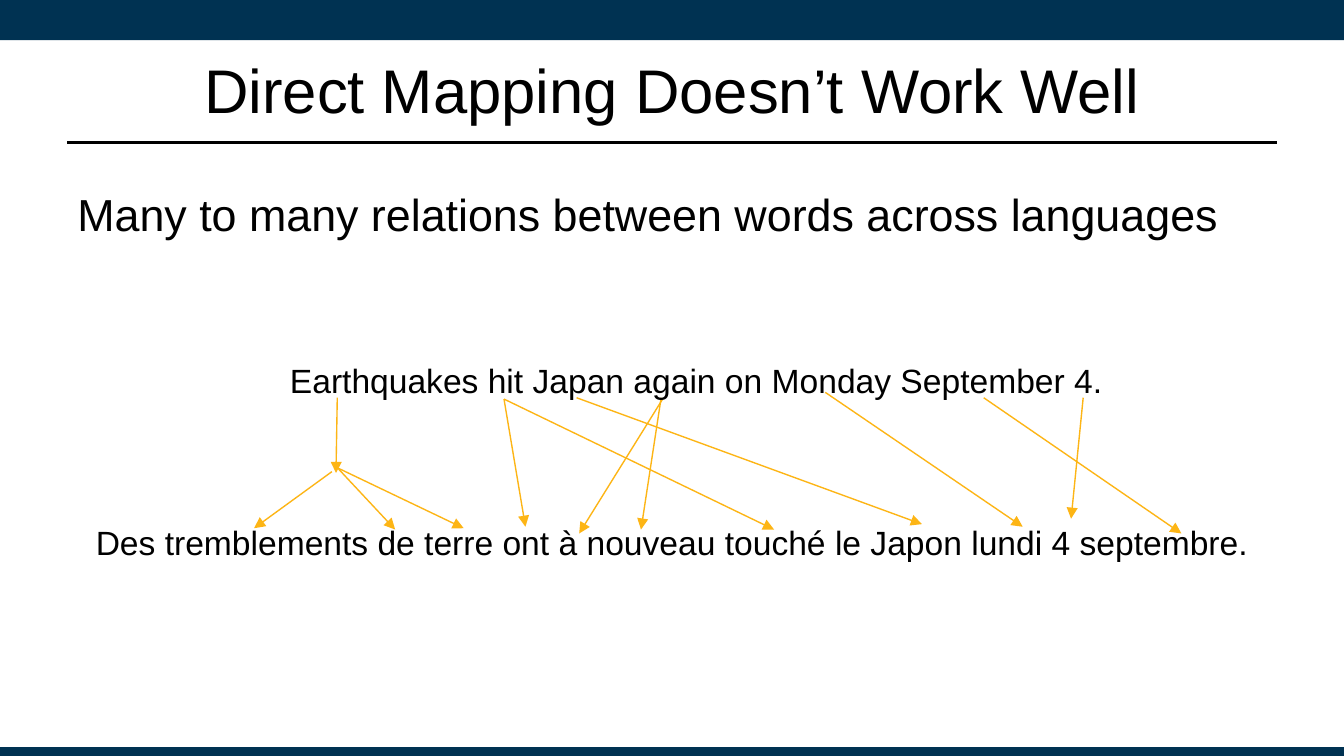
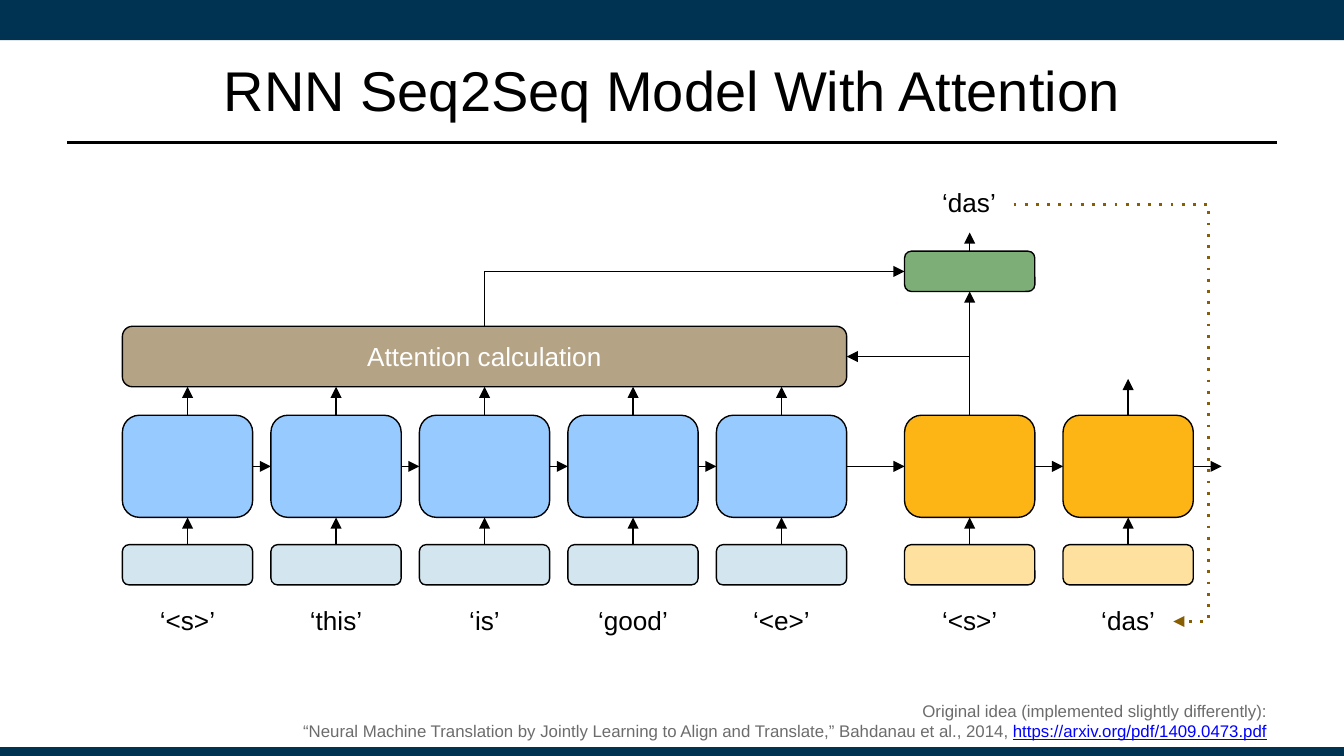
from lxml import etree
from pptx import Presentation
from pptx.dml.color import RGBColor
from pptx.enum.shapes import MSO_CONNECTOR, MSO_SHAPE
from pptx.enum.text import MSO_ANCHOR, MSO_AUTO_SIZE, PP_ALIGN
from pptx.oxml.ns import qn
from pptx.util import Pt

RECT, ROUND = MSO_SHAPE.RECTANGLE, MSO_SHAPE.ROUNDED_RECTANGLE
STRAIGHT, ELBOW = MSO_CONNECTOR.STRAIGHT, MSO_CONNECTOR.ELBOW
LEFT, CENTER, RIGHT = PP_ALIGN.LEFT, PP_ALIGN.CENTER, PP_ALIGN.RIGHT
TOP, MIDDLE, BOTTOM = MSO_ANCHOR.TOP, MSO_ANCHOR.MIDDLE, MSO_ANCHOR.BOTTOM
NO_FIT = MSO_AUTO_SIZE.NONE

FONT = "Arial"
NAVY, BLACK, WHITE, GRAY, LINK = "003252", "000000", "FFFFFF", "6C6C6C", "0000FF"
BLUE, PALE, GOLD, CREAM = "97CBFF", "D3E6EF", "FDB515", "FFE19F"
GREEN, TAN, BROWN = "7EAE78", "B5A385", "875E01"

MARGIN, SPAN = 36, 648
CELL_W, CELL_H, SLIM_H = 69.8, 54.7, 21.6
CELL_Y, SLIM_Y, WORD_Y, WORD_H = 222.5, 291.8, 318.2, 30.2
ENC_X, STEP, DEC_X = 65.6, 79.55, (484.6, 569.5)
ATT_Y, ATT_H, OUT_Y = 174.8, 32.4, 134.6

MAPPING = [
    (527, 213.1, 632.9, 285.8), (180.7, 213.1, 180, 253.4),
    (308.9, 213.1, 493.9, 280.8), (270, 213.8, 414.7, 283.7),
    (442.1, 210.2, 547.9, 282.2), (354.2, 213.1, 343.4, 283.7),
    (580.3, 213.1, 573.8, 277.9), (177.8, 252.7, 136.1, 283),
    (181.4, 251.3, 211.7, 283.7), (180.7, 250.6, 248.4, 283),
    (270, 213.8, 281.5, 282.2), (355, 213.8, 310.3, 285.8),
]


def rgb(code):
    """Turn a hex string into a colour."""
    return RGBColor.from_string(code)


def apply(item, **values):
    """Set each named value on an item."""
    for name, value in values.items():
        setattr(item, name, value)


def place(item, left, top, width, height):
    """Move and size an item in points."""
    apply(item, left=Pt(left), top=Pt(top), width=Pt(width), height=Pt(height))


def tint(run, size, color):
    """Format a run."""
    apply(run.font, name=FONT, size=Pt(size))
    run.font.color.rgb = rgb(color)


def write(item, text, size, color=BLACK, align=CENTER, anchor=TOP, pad=5.4):
    """Fill an item with one formatted paragraph."""
    frame = item.text_frame
    side, end = Pt(5.4), Pt(pad)
    apply(frame, word_wrap=True, auto_size=NO_FIT, vertical_anchor=anchor,
          margin_left=side, margin_right=side, margin_top=end, margin_bottom=end)
    para = frame.paragraphs[0]
    para.text = text
    apply(para, alignment=align, space_before=Pt(0))
    for run in para.runs:
        tint(run, size, color)
    for brk in item.element.iter(qn("a:br")):
        etree.SubElement(brk, qn("a:rPr"), sz=str(size * 100))
    return para


def label(slide, text, box, size=14, **fmt):
    """Add a text box."""
    item = slide.shapes.add_textbox(*map(Pt, box))
    return write(item, text, size, **fmt)


def block(slide, kind, box, fill, edge=None):
    """Add a filled shape with an optional outline."""
    item = slide.shapes.add_shape(kind, *map(Pt, box))
    item.shadow.inherit = False
    item.fill.solid()
    item.fill.fore_color.rgb = rgb(fill)
    if edge:
        item.line.color.rgb = rgb(edge)
        item.line.width = Pt(0.75)
    else:
        item.line.fill.background()
    return item


def link(slide, ends, color=BLACK, width=0.75, kind=STRAIGHT, tip="tailEnd", dash=None):
    """Add a line with an arrowhead at the chosen end."""
    item = slide.shapes.add_connector(kind, *map(Pt, ends))
    item.line.color.rgb = rgb(color)
    item.line.width = Pt(width)
    props = item.element.spPr
    line = props.find(qn("a:ln"))
    if dash:
        etree.SubElement(line, qn("a:prstDash"), val=dash)
    if tip:
        etree.SubElement(line, qn(tip), type="triangle") if ":" in tip else \
            etree.SubElement(line, qn("a:" + tip), type="triangle")
    etree.SubElement(props, qn("a:effectLst"))
    return props.find(qn("a:prstGeom"))


def start(deck, index, title, size):
    """Add a slide with its bands, rule and title."""
    slide = deck.slides.add_slide(deck.slide_layouts[index])
    block(slide, RECT, (0, 0, 720, 21.6), NAVY)
    block(slide, RECT, (0, 400.3, 720, 4.7), NAVY)
    link(slide, (MARGIN, 76.3, MARGIN + SPAN, 76.3), width=1.25, tip=None)
    place(slide.shapes.title, MARGIN, 13.7, SPAN, 67.7)
    write(slide.shapes.title, title, size, anchor=MIDDLE, pad=2.7)
    return slide


def cell(slide, left, word, fill, pale):
    """Add a network cell with its input and word."""
    mid = left + CELL_W / 2
    block(slide, ROUND, (left, CELL_Y, CELL_W, CELL_H), fill, BLACK)
    block(slide, ROUND, (left, SLIM_Y, CELL_W, SLIM_H), pale, BLACK)
    link(slide, (mid, SLIM_Y, mid, CELL_Y + CELL_H))
    label(slide, word, (left, WORD_Y, CELL_W, WORD_H))
    return mid


def direct(deck):
    """Build the word mapping slide."""
    slide = start(deck, 1, "Direct Mapping Doesn’t Work Well", 33)
    body = slide.placeholders[1]
    place(body, MARGIN, 94.3, SPAN, 267.1)
    props = body.text_frame.paragraphs[0]
    para = write(body, "Many to many relations between words across languages",
                 24, align=LEFT, pad=2.7)
    para.line_spacing = 1.1
    props = body.element.find(".//" + qn("a:pPr"))
    apply_flat = {"marL": "0", "indent": "0"}
    for name, value in apply_flat.items():
        props.set(name, value)
    etree.SubElement(props, qn("a:buNone"))
    for ends in MAPPING:
        link(slide, ends, GOLD)
    label(slide, "Earthquakes hit Japan again on Monday September 4.",
          (67, 187.2, 612, 32.4), 18)
    label(slide, "Des tremblements de terre ont à nouveau touché le Japon lundi 4 septembre.",
          (MARGIN, 274.3, SPAN, 32.4), 18)


def model(deck):
    """Build the attention model slide."""
    slide = start(deck, 5, "RNN Seq2Seq Model With Attention", 30)
    axis, base = CELL_Y + CELL_H / 2, ATT_Y + ATT_H
    lefts = [ENC_X + STEP * i for i in range(5)] + list(DEC_X)
    words = ["‘<s>’", "‘this’", "‘is’", "‘good’", "‘<e>’", "‘<s>’", "‘das’"]
    mids = []
    for i, (left, word) in enumerate(zip(lefts, words)):
        mids.append(cell(slide, left, word, *((BLUE, PALE) if i < 5 else (GOLD, CREAM))))
    for left, after in zip(lefts, lefts[1:] + [654.5]):
        link(slide, (left + CELL_W, axis, after, axis))
    for mid in mids[:5]:
        link(slide, (mid, CELL_Y, mid, base))

    width = lefts[4] + CELL_W - ENC_X
    bar = block(slide, ROUND, (ENC_X, ATT_Y, width, ATT_H), TAN, BLACK)
    write(bar, "Attention calculation", 14, WHITE, anchor=MIDDLE)
    first, last = mids[5:]
    block(slide, ROUND, (DEC_X[0], OUT_Y, CELL_W, SLIM_H), GREEN, BLACK)
    link(slide, (first, CELL_Y, first, OUT_Y + SLIM_H))
    link(slide, (first, OUT_Y, first, 124.6))
    link(slide, (last, CELL_Y, last, 203))
    link(slide, (first, ATT_Y + ATT_H / 2, ENC_X + width, ATT_Y + ATT_H / 2))
    label(slide, "‘das’", (495.4, 94.3, 47.5, WORD_H))

    bend = link(slide, (DEC_X[0], OUT_Y + SLIM_H / 2, ENC_X + width / 2, ATT_Y),
                kind=ELBOW, tip="headEnd")
    bend.set("prst", "bentConnector2")
    loop = link(slide, (543, 109.4, 628.6, 333), BROWN, 1.5, ELBOW, dash="dot")
    guides = loop.find(qn("a:avLst"))
    etree.SubElement(guides, qn("a:gd"), name="adj1", fmla="val 121800")

    note = label(slide, "Original idea (implemented slightly differently):\v"
                 "“Neural Machine Translation by Jointly Learning to Align and "
                 "Translate,” Bahdanau et al., 2014, ",
                 (MARGIN, 372.2, SPAN, 27.4), 9,
                 color=GRAY, align=RIGHT, anchor=BOTTOM, pad=2.7)
    run = note.add_run()
    run.text = "https://arxiv.org/pdf/1409.0473.pdf"
    tint(run, 9, LINK)
    run.font.underline = True


def main():
    """Build and save the deck."""
    deck = Presentation()
    apply(deck, slide_width=Pt(720), slide_height=Pt(405))
    direct(deck)
    model(deck)
    deck.save("out.pptx")


if __name__ == "__main__":
    main()
